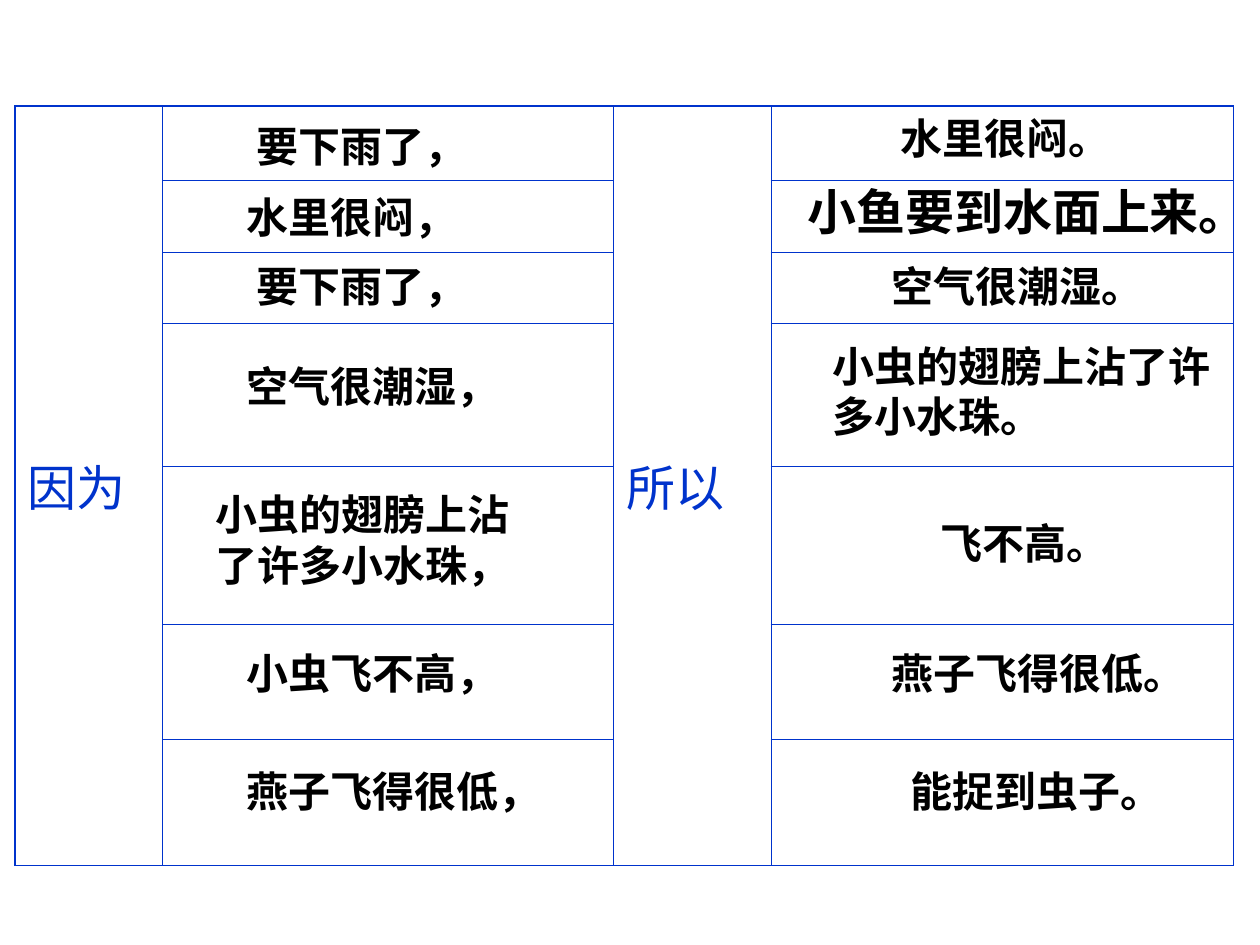
from lxml import etree
from pptx import Presentation
from pptx.dml.color import RGBColor
from pptx.enum import text
from pptx.oxml.ns import qn
from pptx.util import Inches, Pt

BLUE, BLACK = "0033CC", "000000"


def add_run(p, words, size, font, color, bold=False):
    r = p.add_run()
    r.text = words
    r.font.size = Pt(size)
    r.font.name = font
    r.font.bold = bold
    r.font.color.rgb = RGBColor.from_string(color)


def add_border(cell, side, width):
    ln = etree.SubElement(cell._tc.get_or_add_tcPr(), qn("a:ln" + side), w=str(Pt(width)))
    fill = etree.SubElement(ln, qn("a:solidFill"))
    etree.SubElement(fill, qn("a:srgbClr"), val=BLUE)


prs = Presentation()
prs.slide_width, prs.slide_height = Inches(10), Inches(7.5)
s = prs.slides.add_slide(prs.slide_layouts[6])

# Table grid
widths = [1.17, 3.58, 1.25, 3.67]
heights = [0.59, 0.57, 0.57, 1.13, 1.26, 0.91, 1]
last_row, last_col = len(heights) - 1, len(widths) - 1
table = s.shapes.add_table(len(heights), len(widths), Inches(0.12), Inches(0.84),
                           Inches(sum(widths)), Inches(sum(heights))).table
table.first_row = table.horz_banding = False
for column, width in zip(table.columns, widths):
    column.width = Inches(width)
for row, height in zip(table.rows, heights):
    row.height = Inches(height)

# Thin inner lines, thicker outer frame
for i in range(len(heights)):
    for j in range(len(widths)):
        cell = table.cell(i, j)
        outer = {"L": j == 0, "R": j == last_col, "T": i == 0, "B": i == last_row}
        for side, on_frame in outer.items():
            add_border(cell, side, 1.08 if on_frame else 0.45)
        cell.fill.background()

# Conjunctions in merged columns
for j, word in [(0, "因为"), (2, "所以")]:
    cell = table.cell(0, j)
    cell.merge(table.cell(last_row, j))
    cell.vertical_anchor = text.MSO_ANCHOR.MIDDLE
    add_run(cell.text_frame.paragraphs[0], word, 28, "Arial", BLUE)

# Causes and effects: left, top, width, height, size, wrap, lines
clauses = [
    (1.94, 0.91, 1.86, 0.5, 24, False, ["要下雨了，"]),
    (1.86, 1.47, 1.86, 0.5, 24, False, ["水里很闷，"]),
    (6.31, 1.39, 3.69, 0.57, 28, False, ["小鱼要到水面上来。"]),
    (7.05, 0.84, 1.86, 0.5, 24, False, ["水里很闷。"]),
    (1.94, 2.02, 1.86, 0.5, 24, False, ["要下雨了，"]),
    (6.98, 2.02, 2.2, 0.5, 24, False, ["空气很潮湿。"]),
    (1.86, 2.81, 2.2, 0.5, 24, False, ["空气很潮湿，"]),
    (6.51, 2.65, 3.2, 0.9, 24, False, ["小虫的翅膀上沾了许", "多小水珠。"]),
    (1.61, 3.83, 2.76, 0.9, 24, True, ["小虫的翅膀上沾了许多小水珠，"]),
    (7.37, 4.06, 1.53, 0.5, 24, False, ["飞不高。"]),
    (1.86, 5.09, 2.2, 0.5, 24, False, ["小虫飞不高，"]),
    (6.98, 5.09, 2.53, 0.5, 24, False, ["燕子飞得很低。"]),
    (1.86, 6.03, 2.53, 0.5, 24, False, ["燕子飞得很低，"]),
    (7.13, 6.03, 2.2, 0.5, 24, False, ["能捉到虫子。"]),
]
for left, top, width, height, size, wrap, lines in clauses:
    tf = s.shapes.add_textbox(Inches(left), Inches(top), Inches(width), Inches(height)).text_frame
    tf.word_wrap = wrap
    tf.auto_size = text.MSO_AUTO_SIZE.SHAPE_TO_FIT_TEXT
    for n, line in enumerate(lines):
        p = tf.add_paragraph() if n else tf.paragraphs[0]
        add_run(p, line, size, "Times New Roman", BLACK, bold=True)

prs.save("out.pptx")
